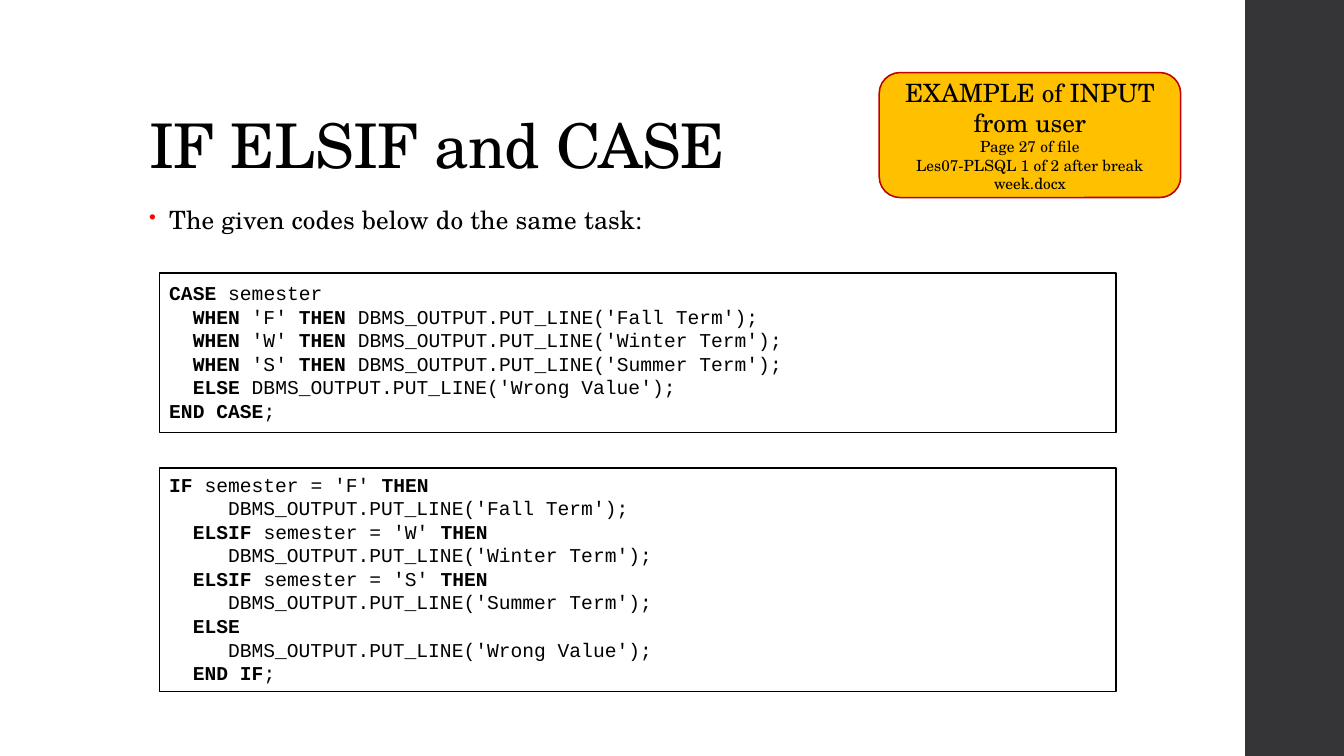
from dataclasses import dataclass

import pptx
import pptx.dml.color
import pptx.enum.shapes
import pptx.enum.text
import pptx.oxml
import pptx.oxml.ns
import pptx.util
from pptx.util import Inches

ANCHOR = pptx.enum.text.MSO_ANCHOR
ALIGN = pptx.enum.text.PP_ALIGN
PRESET = pptx.enum.shapes.MSO_SHAPE


@dataclass(frozen=True)
class Theme:
    """Colours, fonts and type sizes of the slide."""
    ink: str = "000000"
    sidebar: str = "353537"
    bullet: str = "FF0000"
    callout: str = "FFC000"
    callout_edge: str = "BD0000"
    serif: str = "TeX Gyre Schola"
    mono: str = "Courier New"
    title: int = 44
    body: int = 18
    code: int = 14
    note: int = 11
    edge: float = 1.1


THEME = Theme()
CODE_LEFT, CODE_WIDTH = 1.58, 9.49
CHARACTER_WIDTH = THEME.code * 0.6 / 72

# Each line: indent in characters, then text with keywords between asterisks.
CASE_CODE = [
    (0, "*CASE *semester"),
    (2, "*WHEN* 'F' *THEN* DBMS_OUTPUT.PUT_LINE('Fall Term');"),
    (2, "*WHEN* 'W' *THEN* DBMS_OUTPUT.PUT_LINE('Winter Term');"),
    (2, "*WHEN* 'S' *THEN* DBMS_OUTPUT.PUT_LINE('Summer Term');"),
    (2, "*ELSE* DBMS_OUTPUT.PUT_LINE('Wrong Value');"),
    (0, "*END CASE*;"),
]
IF_CODE = [
    (0, "*IF* semester = 'F' *THEN*"),
    (5, "DBMS_OUTPUT.PUT_LINE('Fall Term');"),
    (2, "*ELSIF* semester = 'W' *THEN*"),
    (5, "DBMS_OUTPUT.PUT_LINE('Winter Term');"),
    (2, "*ELSIF* semester = 'S' *THEN*"),
    (5, "DBMS_OUTPUT.PUT_LINE('Summer Term');"),
    (2, "*ELSE*"),
    (5, "DBMS_OUTPUT.PUT_LINE('Wrong Value');"),
    (2, "*END IF*;"),
]


def rgb(value):
    """Turn a hex string into a colour."""
    return pptx.dml.color.RGBColor.from_string(value)


def style(paragraph, size, family, spacing=0):
    """Set the font of a whole paragraph; spacing is in points."""
    font = paragraph.font
    font.size, font.name = pptx.util.Pt(size), family
    font.color.rgb = rgb(THEME.ink)
    if spacing:
        paragraph._p.pPr.find(pptx.oxml.ns.qn("a:defRPr")).set(
            "spc", str(round(spacing * 100)))


def add_text(slide, left, top, width, height, anchor=ANCHOR.TOP):
    """Add a wrapping text box and return its text frame."""
    frame = slide.shapes.add_textbox(
        Inches(left), Inches(top), Inches(width), Inches(height)).text_frame
    frame.word_wrap = True
    frame.vertical_anchor = anchor
    return frame


def add_box(slide, preset, left, top, width, height, fill=None, edge=None):
    """Add a preset shape with an optional fill and outline."""
    box = slide.shapes.add_shape(
        preset, Inches(left), Inches(top), Inches(width), Inches(height))
    box.shadow.inherit = False
    if fill:
        box.fill.solid()
        box.fill.fore_color.rgb = rgb(fill)
    else:
        box.fill.background()
    if edge:
        box.line.color.rgb = rgb(edge)
        box.line.width = pptx.util.Pt(THEME.edge)
    else:
        box.line.fill.background()
    return box


def add_title(slide, wording):
    """Add the slide title."""
    heading = add_text(slide, 1.38, 0.4, 10.6, 1.45, ANCHOR.BOTTOM).paragraphs[0]
    heading.text = wording
    heading.line_spacing = 0.9
    style(heading, THEME.title, THEME.serif, -0.5)


def add_bullet(slide, wording):
    """Add the introductory bullet line."""
    intro = add_text(slide, 1.38, 2, 9.4, 0.51).paragraphs[0]
    intro.text = wording
    intro.line_spacing = 0.95
    intro.space_before, intro.space_after = pptx.util.Pt(14), pptx.util.Pt(2)
    style(intro, THEME.body, THEME.serif, 0.1)
    properties = intro._p.pPr
    properties.set("marL", str(Inches(0.2)))
    properties.set("indent", str(Inches(-0.2)))
    namespace = pptx.oxml.ns.nsdecls("a")
    defaults = properties.find(pptx.oxml.ns.qn("a:defRPr"))
    for markup in (
            f'<a:buClr {namespace}><a:srgbClr val="{THEME.bullet}"/></a:buClr>',
            f'<a:buSzPct {namespace} val="80000"/>',
            f'<a:buChar {namespace} char="\u2022"/>'):
        defaults.addprevious(pptx.oxml.parse_xml(markup))


def add_code(slide, lines, text_top, text_height, frame_top, frame_height):
    """Add a code listing with bold keywords and the frame around it."""
    listing = add_text(slide, CODE_LEFT, text_top, CODE_WIDTH, text_height)
    for number, (indent, line) in enumerate(lines):
        statement = listing.add_paragraph() if number else listing.paragraphs[0]
        style(statement, THEME.code, THEME.mono)
        statement._p.pPr.set("marL", str(Inches(indent * CHARACTER_WIDTH)))
        statement._p.pPr.set("indent", "0")
        for position, piece in enumerate(line.split("*")):
            if piece:
                run = statement.add_run()
                run.text = piece
                run.font.bold = position % 2 == 1
    add_box(slide, PRESET.RECTANGLE, CODE_LEFT, frame_top, CODE_WIDTH,
            frame_height, edge=THEME.ink)


def add_callout(slide, lines):
    """Add the rounded callout with centred lines of (wording, size)."""
    callout = add_box(slide, PRESET.ROUNDED_RECTANGLE, 8.72, 0.72, 2.99, 1.24,
                      THEME.callout, THEME.callout_edge).text_frame
    callout.word_wrap = True
    callout.vertical_anchor = ANCHOR.MIDDLE
    for number, (wording, size) in enumerate(lines):
        line = callout.add_paragraph() if number else callout.paragraphs[0]
        line.text = wording
        line.alignment = ALIGN.CENTER
        style(line, size, THEME.serif)


def main():
    """Build the slide and save it."""
    deck = pptx.Presentation()
    deck.slide_width, deck.slide_height = Inches(13.33), Inches(7.5)
    slide = deck.slides.add_slide(deck.slide_layouts[6])
    add_box(slide, PRESET.RECTANGLE, 12.35, 0, 1, 7.5, THEME.sidebar)
    add_title(slide, "IF ELSIF and CASE")
    add_bullet(slide, "The given codes below do the same task:")
    add_code(slide, CASE_CODE, 2.74, 1.51, 2.71, 1.58)
    add_code(slide, IF_CODE, 4.64, 2.22, 4.64, 2.22)
    add_callout(slide, [
        ("EXAMPLE of INPUT from user", THEME.body),
        ("Page 27 of file", THEME.note),
        ("Les07-PLSQL 1 of 2 after break week.docx", THEME.note),
    ])
    deck.save("out.pptx")


main()
